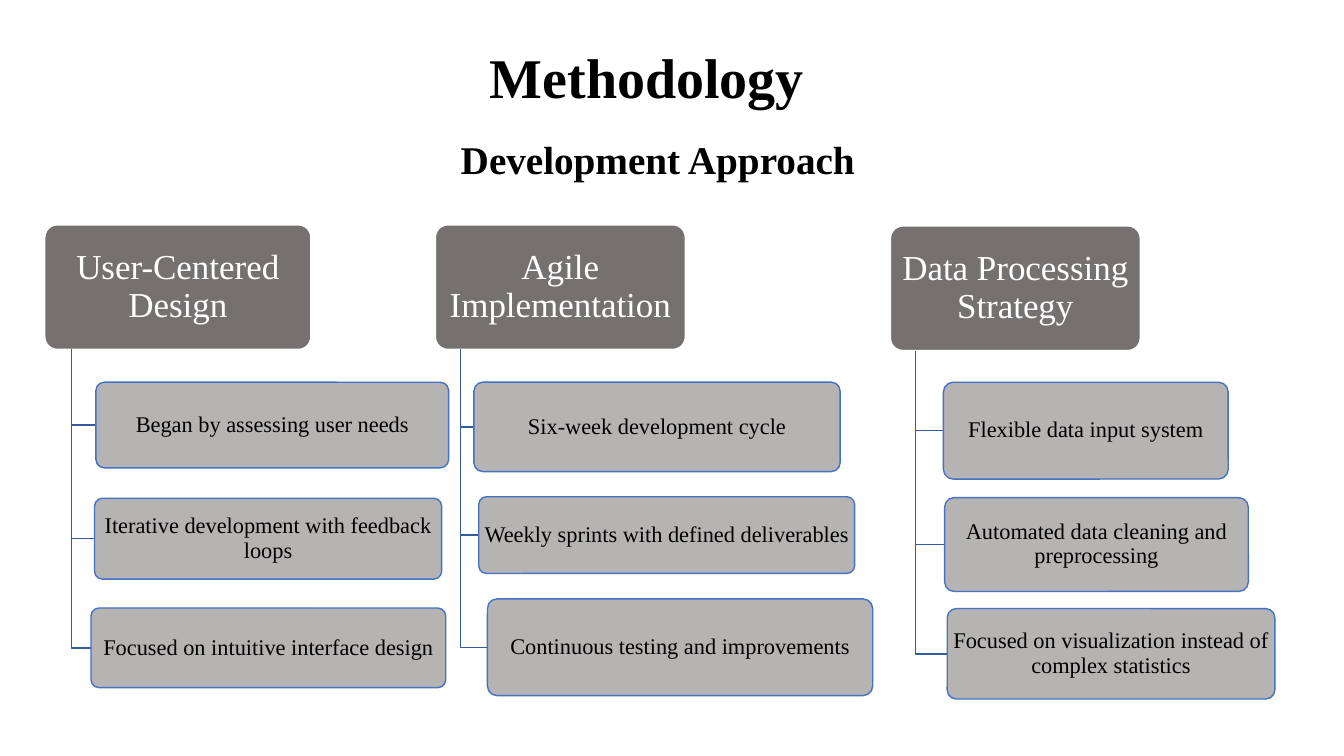
from dataclasses import dataclass
from lxml.etree import SubElement
from pptx import Presentation
from pptx.dml.color import RGBColor as RGB
from pptx.enum.shapes import MSO_SHAPE as Shape
from pptx.enum.text import MSO_ANCHOR as Anchor, MSO_AUTO_SIZE as Fit, PP_ALIGN as Align
from pptx.oxml.ns import qn
from pptx.util import Pt


@dataclass(frozen=True)
class Theme:
    font: str = "Times New Roman"
    ink: RGB = RGB(0x00, 0x00, 0x00)
    white: RGB = RGB(0xFF, 0xFF, 0xFF)
    head: RGB = RGB(0x76, 0x71, 0x71)
    leaf: RGB = RGB(0xAF, 0xAB, 0xAB)
    edge: RGB = RGB(0x44, 0x72, 0xC4)
    link: RGB = RGB(0x36, 0x5B, 0x9D)
    title: int = 40
    sub: int = 28
    big: int = 25
    small: int = 16


theme = Theme()


def write(shape, text, size, color, bold=False, pads=(7.2, 3.6), space=0.9):
    frame = shape.text_frame
    frame.word_wrap = True
    frame.auto_size = Fit.NONE
    frame.vertical_anchor = Anchor.MIDDLE
    frame.margin_left = frame.margin_right = Pt(pads[0])
    frame.margin_top = frame.margin_bottom = Pt(pads[1])
    para = frame.paragraphs[0]
    para.alignment = Align.CENTER
    para.line_spacing = space
    run = para.add_run()
    run.text = text
    font = run.font
    font.name, font.size, font.bold = theme.font, Pt(size), bold
    font.color.rgb = color


def add_box(area, fill, edge):
    box = shapes.add_shape(Shape.ROUNDED_RECTANGLE, *map(Pt, area))
    box.adjustments[0] = 0.1
    box.shadow.inherit = False
    box.fill.solid()
    box.fill.fore_color.rgb = fill
    box.line.color.rgb = edge
    box.line.width = Pt(1)
    return box


deck = Presentation()
deck.slide_width, deck.slide_height = Pt(960), Pt(540)
slide = deck.slides.add_slide(deck.slide_layouts[5])
shapes = slide.shapes

title = shapes.title
title.left, title.top, title.width, title.height = map(Pt, (48, 27.4, 828, 59.8))
write(title, "Methodology", theme.title, theme.ink, True)

# Each column: heading, its left, top and width, then leaves with their areas
columns = [
    ("User-Centered Design", 32, 160.6, 190, [
        ("Began by assessing user needs", (68.5, 273, 252, 61.2)),
        ("Iterative development with feedback loops", (67.5, 355.9, 248, 57.8)),
        ("Focused on intuitive interface design", (65, 434.3, 253.4, 56.9)),
    ]),
    ("Agile Implementation", 311, 160.6, 178.5, [
        ("Six-week development cycle", (338.5, 273, 261.6, 63.9)),
        ("Weekly sprints with defined deliverables", (342, 354.8, 268.5, 54.8)),
        ("Continuous testing and improvements", (348.2, 427.8, 275.2, 69.1)),
    ]),
    ("Data Processing Strategy", 636, 161.4, 178.5, [
        ("Flexible data input system", (673.9, 273, 203.4, 69.2)),
        ("Automated data cleaning and preprocessing", (674.8, 355.5, 216.9, 67)),
        ("Focused on visualization instead of complex statistics",
         (676.6, 434.7, 234, 64.6)),
    ]),
]
tall = 89

for name, left, top, wide, leaves in columns:
    head = add_box((left, top, wide, tall), theme.head, theme.white)
    write(head, name, theme.big, theme.white, pads=(3.75, 2.5))
    stem, base = left + wide / 10, top + tall
    for text, area in leaves:
        x, y, _, high = area
        mid = y + high / 2
        path = shapes.build_freeform(Pt(stem), Pt(base))
        path.add_line_segments(
            [(Pt(stem), Pt(mid)), (Pt(x), Pt(mid))], close=False)
        link = path.convert_to_shape()
        link.shadow.inherit = False
        link.fill.background()
        link.line.color.rgb = theme.link
        link.line.width = Pt(1)

        leaf = add_box(area, theme.leaf, theme.edge)
        tint = leaf.element.spPr.find(qn("a:solidFill"))[0]
        SubElement(tint, qn("a:alpha")).set("val", "90000")
        write(leaf, text, theme.small, theme.ink, pads=(2, 1.6))

sub = shapes.add_textbox(Pt(205.2), Pt(92.9), Pt(529.2), Pt(41))
write(sub, "Development Approach", theme.sub, theme.ink, True, space=1.0)

deck.save("out.pptx")
